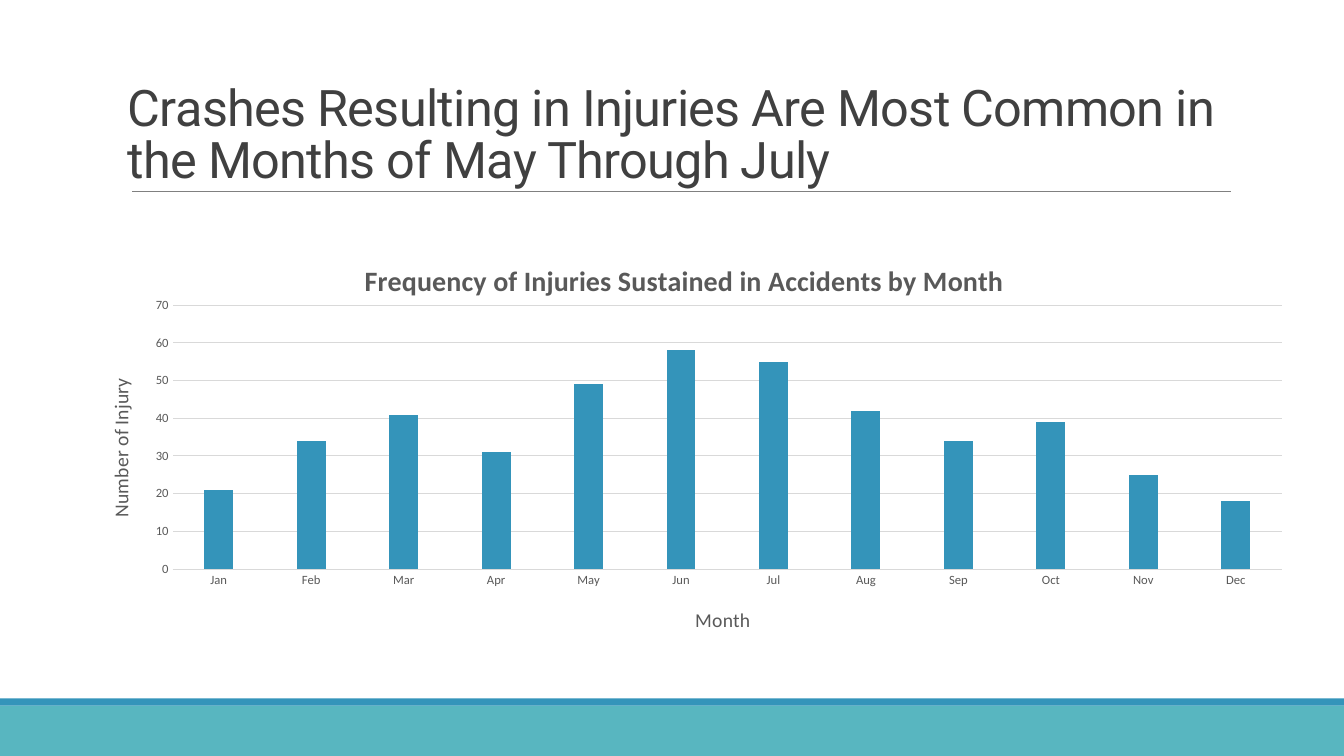
from lxml import etree
from pptx import Presentation
from pptx import util as u
from pptx.chart import data as chart_data
from pptx.dml.color import RGBColor
from pptx.enum import chart as ch, shapes, text
from pptx.oxml import ns

COLORS = {"teal": "58B6C0", "blue": "3494BA", "rule": "808080",
          "heading": "404040", "label": "595959", "grid": "D9D9D9"}
COLORS = {name: RGBColor.from_string(value) for name, value in COLORS.items()}


def place(parent, index, **shares):
    """Lay out a chart part by shares of the chart's size."""
    for old in parent.findall(ns.qn("c:layout")):
        parent.remove(old)
    layout = etree.Element(ns.qn("c:layout"))
    parent.insert(index, layout)
    manual = etree.SubElement(layout, ns.qn("c:manualLayout"))
    if "w" in shares:
        etree.SubElement(manual, ns.qn("c:layoutTarget")).set("val", "inner")
    for mode in ("xMode", "yMode"):
        etree.SubElement(manual, ns.qn("c:" + mode)).set("val", "edge")
    for key, share in shares.items():
        etree.SubElement(manual, ns.qn("c:" + key)).set("val", str(share))


def write_title(title, wording, size, bold, x, y):
    """Write, format and place a chart or axis title."""
    frame = title.text_frame
    frame.text = wording
    font = frame.paragraphs[0].runs[0].font
    font.size, font.bold, font.name = u.Pt(size), bold, "Calibri"
    font.color.rgb = COLORS["label"]
    place(title._element, 1, x=x, y=y)
    return frame


deck = Presentation()
deck.slide_width, deck.slide_height = u.Inches(13.33), u.Inches(7.5)
slide = deck.slides.add_slide(deck.slide_layouts[6])

# Footer bands
for top, height, color in ((7, 0.5, "teal"), (6.93, 0.07, "blue")):
    band = slide.shapes.add_shape(shapes.MSO_SHAPE.RECTANGLE, 0, u.Inches(top),
                                  deck.slide_width, u.Inches(height))
    band.shadow.inherit = False
    band.fill.solid()
    band.fill.fore_color.rgb = COLORS[color]
    band.line.fill.background()

# Heading and the rule below it
rule = slide.shapes.add_connector(shapes.MSO_CONNECTOR.STRAIGHT, u.Inches(1.31),
                                  u.Inches(1.9), u.Inches(12.21), u.Inches(1.9))
rule.line.color.rgb = COLORS["rule"]
rule.line.width = u.Pt(0.5)
etree.SubElement(rule._element.spPr, ns.qn("a:effectLst"))

heading = slide.shapes.add_textbox(u.Inches(1.17), u.Inches(1.08),
                                   u.Inches(11), u.Inches(0.84)).text_frame
heading.word_wrap = True
heading.vertical_anchor = text.MSO_ANCHOR.BOTTOM
heading.text = "Crashes Resulting in Injuries Are Most Common in the Months of May Through July"
heading.paragraphs[0].line_spacing = 0.85
heading_run = heading.paragraphs[0].runs[0]
heading_run.font.name, heading_run.font.size = "Roboto", u.Pt(36)
heading_run.font.color.rgb = COLORS["heading"]
heading_run._r.get_or_add_rPr().set("spc", "-50")

# Injuries by month
injuries = chart_data.CategoryChartData()
injuries.categories = "Jan Feb Mar Apr May Jun Jul Aug Sep Oct Nov Dec".split()
injuries.add_series("Series 1", (21, 34, 41, 31, 49, 58, 55, 42, 34, 39, 25, 18))
chart = slide.shapes.add_chart(ch.XL_CHART_TYPE.COLUMN_CLUSTERED, u.Inches(0.76),
                               u.Inches(2.29), u.Inches(12.2), u.Inches(4.14),
                               injuries).chart
chart.has_legend = False
chart.font.name, chart.font.size = "Calibri", u.Pt(10)
place(chart._chartSpace.chart.plotArea, 0, x=0.078, y=0.178, w=0.902, h=0.633)

plot = chart.plots[0]
plot.gap_width = 219
plot.vary_by_categories = False
columns = plot.series[0].format.fill
columns.solid()
columns.fore_color.rgb = COLORS["blue"]

months, counts = chart.category_axis, chart.value_axis
for axis in (months, counts):
    axis.major_tick_mark = axis.minor_tick_mark = ch.XL_TICK_MARK.NONE
    labels = axis.tick_labels.font
    labels.name, labels.size = "Calibri", u.Pt(9)
    labels.color.rgb = COLORS["label"]
counts.minimum_scale, counts.maximum_scale, counts.major_unit = 0, 70, 10
counts.format.line.fill.background()
for line in (months.format.line, counts.major_gridlines.format.line):
    line.color.rgb = COLORS["grid"]
    line.width = u.Pt(0.75)

write_title(chart.chart_title, "Frequency of Injuries Sustained in Accidents by Month",
            20, True, x=0.23, y=0.06)
write_title(months.axis_title, "Month", 14, False, x=0.5, y=0.89)
count_title = write_title(counts.axis_title, "Number of Injury", 14, False,
                          x=0.022, y=0.345)
count_title._txBody.bodyPr.set("rot", "-5400000")
count_title._txBody.bodyPr.set("vert", "horz")

deck.save("out.pptx")
